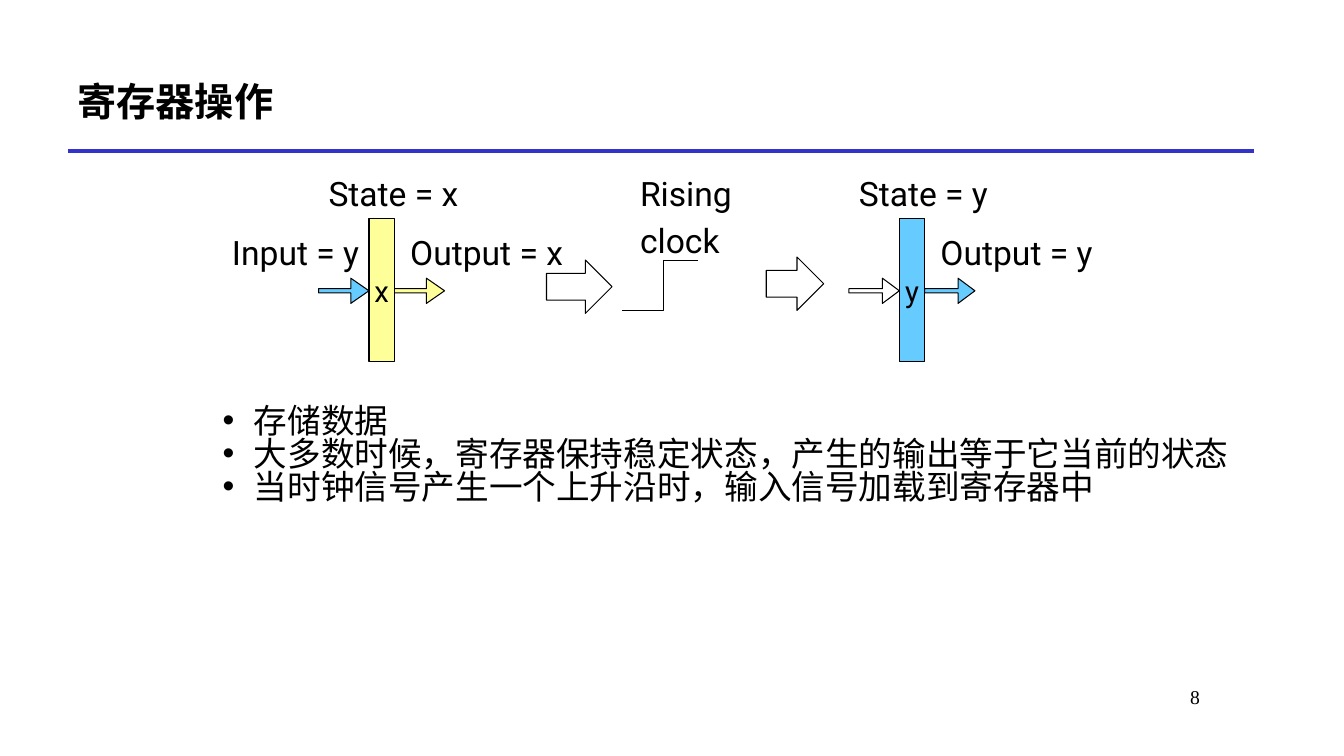
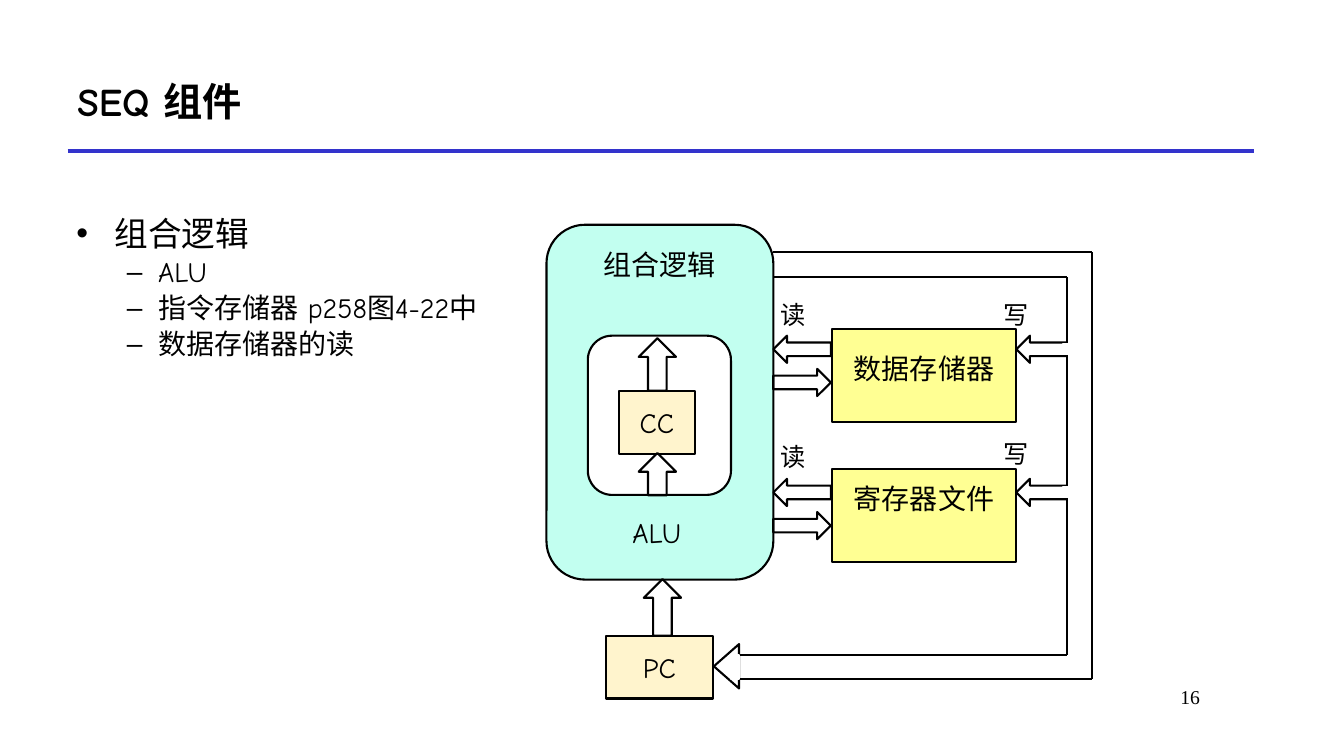
"""Build two slides on register behaviour and the SEQ hardware components."""
from dataclasses import dataclass
from typing import Optional

from lxml import etree
from pptx import Presentation
from pptx.dml.color import RGBColor
from pptx.enum.shapes import MSO_CONNECTOR, MSO_SHAPE
from pptx.enum.text import MSO_ANCHOR, PP_ALIGN
from pptx.oxml.ns import qn
from pptx.util import Inches, Pt

BLACK = RGBColor(0x00, 0x00, 0x00)
WHITE = RGBColor(0xFF, 0xFF, 0xFF)
RULE_BLUE = RGBColor(0x33, 0x33, 0xCC)
SKY = RGBColor(0x66, 0xCC, 0xFF)
LEMON = RGBColor(0xFF, 0xFF, 0x99)
STORE = RGBColor(0xFF, 0xFF, 0x93)
MINT = RGBColor(0xC2, 0xFF, 0xF0)
CREAM = RGBColor(0xFF, 0xF4, 0xCD)

CJK, COMIC, ROBOTO, TIMES = "Noto Sans CJK SC", "Comic Neue", "Roboto", "Times New Roman"
LEFT, CENTER, RIGHT = PP_ALIGN.LEFT, PP_ALIGN.CENTER, PP_ALIGN.RIGHT
TOP, MIDDLE = MSO_ANCHOR.TOP, MSO_ANCHOR.MIDDLE


@dataclass(frozen=True)
class Box:
    """Position and size in inches."""
    left: float
    top: float
    width: float
    height: float

    def lengths(self) -> list:
        return [Inches(v) for v in (self.left, self.top, self.width, self.height)]


@dataclass(frozen=True)
class Style:
    """Character and paragraph format of a text."""
    font: str
    size: float
    align: PP_ALIGN = LEFT
    bold: bool = False
    spacing: float = 1.0


@dataclass(frozen=True)
class Bullet:
    """Bulleted paragraph with its indents in inches."""
    text: str
    mark: str
    style: Style
    margin: float
    hang: float
    before: float = 0
    level: int = 0


@dataclass(frozen=True)
class Arrow:
    """Right-pointing block arrow, turned by an angle."""
    box: Box
    turn: int = 0
    fill: Optional[RGBColor] = None
    weight: float = 1.5
    shaft: float = 0.5
    head: float = 0.5


@dataclass(frozen=True)
class Register:
    """Register symbol with its state and signals."""
    left: float
    value: str
    output: str
    fill: RGBColor
    input_fill: RGBColor
    head: float


TITLE = Style(COMIC, 28, bold=True)
LABEL = Style(ROBOTO, 24)
VALUE = Style(ROBOTO, 21, CENTER)
PART = Style(COMIC, 20, CENTER)
PORT = Style(COMIC, 18)
NUMBER = Style(TIMES, 14, RIGHT)
POINT = Style(CJK, 24, spacing=0.82)


def set_format(target: object, values: dict) -> None:
    for name, value in values.items():
        setattr(target, name, value)


def style_paragraph(paragraph, text: str, style: Style) -> None:
    set_format(paragraph, {"alignment": style.align, "line_spacing": style.spacing})
    run = paragraph.add_run()
    run.text = text
    set_format(run.font, {"name": style.font, "size": Pt(style.size), "bold": style.bold})
    run.font.color.rgb = BLACK
    east_asian = etree.SubElement(run._r.get_or_add_rPr(), qn("a:ea"))
    east_asian.set("typeface", style.font)


def write(shape, lines: list[str], style: Style, anchor: MSO_ANCHOR = TOP,
          wrap: bool = True, inset: float = 0.05) -> None:
    frame = shape.text_frame
    set_format(frame, {"word_wrap": wrap, "vertical_anchor": anchor,
                       "margin_top": Inches(inset)})
    for index, line in enumerate(lines):
        paragraph = frame.add_paragraph() if index else frame.paragraphs[0]
        if index:
            paragraph.space_before = Pt(style.size * 0.2)
        style_paragraph(paragraph, line, style)


def add_text(slide, box: Box, text: str, style: Style,
             anchor: MSO_ANCHOR = TOP, wrap: bool = True) -> None:
    write(slide.shapes.add_textbox(*box.lengths()), text.split("\n"), style, anchor, wrap)


def add_bullets(slide, box: Box, bullets: list[Bullet], wrap: bool) -> None:
    frame = slide.shapes.add_textbox(*box.lengths()).text_frame
    frame.word_wrap = wrap
    for index, bullet in enumerate(bullets):
        paragraph = frame.add_paragraph() if index else frame.paragraphs[0]
        paragraph.level = bullet.level
        if index:
            paragraph.space_before = Pt(bullet.before)
        style_paragraph(paragraph, bullet.text, bullet.style)
        properties = paragraph._p.get_or_add_pPr()
        properties.set("marL", str(Inches(bullet.margin)))
        properties.set("indent", str(-Inches(bullet.hang)))
        etree.SubElement(properties, qn("a:buFont")).set("typeface", "Arial")
        etree.SubElement(properties, qn("a:buChar")).set("char", bullet.mark)


def outline(shape, fill: Optional[RGBColor], weight: float, color: RGBColor = BLACK) -> None:
    shape.shadow.inherit = False
    if fill is None:
        shape.fill.background()
    else:
        shape.fill.solid()
        shape.fill.fore_color.rgb = fill
    shape.line.color.rgb = color
    shape.line.width = Pt(weight)


def add_block(slide, box: Box, fill: RGBColor, weight: float = 1.5,
              color: RGBColor = BLACK, corner: float = 0):
    kind = MSO_SHAPE.ROUNDED_RECTANGLE if corner else MSO_SHAPE.RECTANGLE
    block = slide.shapes.add_shape(kind, *box.lengths())
    if corner:
        block.adjustments[0] = corner
    outline(block, fill, weight, color)
    return block


def add_arrow(slide, arrow: Arrow) -> None:
    shape = slide.shapes.add_shape(MSO_SHAPE.RIGHT_ARROW, *arrow.box.lengths())
    shape.rotation = arrow.turn
    shape.adjustments[0], shape.adjustments[1] = arrow.shaft, arrow.head
    outline(shape, arrow.fill, arrow.weight)


def add_line(slide, start: tuple[float, float], end: tuple[float, float],
             color: RGBColor = BLACK, weight: float = 1.5) -> None:
    line = slide.shapes.add_connector(
        MSO_CONNECTOR.STRAIGHT, *[Inches(v) for v in (*start, *end)])
    line.line.color.rgb = color
    line.line.width = Pt(weight)
    etree.SubElement(line._element.spPr, qn("a:effectLst"))


def add_page(deck, title: str, number: int, style: Style = TITLE):
    slide = deck.slides.add_slide(deck.slide_layouts[6])
    add_line(slide, (0.67, 1.5), (12.44, 1.5), RULE_BLUE, 3)
    add_text(slide, Box(0.67, 0.5, 11.78, 1), title, style, MIDDLE)
    add_text(slide, Box(10.11, 6.75, 1.89, 0.5), str(number), NUMBER)
    return slide


def add_register(slide, register: Register) -> None:
    left = register.left
    add_text(slide, Box(left, 1.67, 1.55, 0.51), f"State = {register.value}", LABEL, wrap=False)
    add_text(slide, Box(left + 0.81, 2.25, 1.77, 0.51), register.output, LABEL, wrap=False)
    for offset, fill in ((0, register.input_fill), (0.75, register.fill)):
        add_arrow(slide, Arrow(Box(left + offset, 2.76, 0.5, 0.25), fill=fill,
                               weight=0.75, shaft=0.17, head=register.head))
    cell = add_block(slide, Box(left + 0.5, 2.17, 0.25, 1.42), register.fill, 0.75)
    write(cell, [register.value], VALUE, MIDDLE, wrap=False)


def build_register_slide(deck) -> None:
    slide = add_page(deck, "寄存器操作", 8, Style(CJK, 28, bold=True))
    edge = slide.shapes.build_freeform(Inches(6.17), Inches(3.08))
    edge.add_line_segments([(Inches(x), Inches(y)) for x, y in
                            ((6.58, 3.08), (6.58, 2.58), (6.92, 2.58))], close=False)
    outline(edge.convert_to_shape(), None, 0.75)
    add_text(slide, Box(6.25, 1.67, 1.5, 0.99), "Rising\nclock", LABEL)
    add_text(slide, Box(2.15, 2.25, 1.51, 0.51), "Input = y",
             Style(ROBOTO, 24, RIGHT), wrap=False)
    for register in (Register(3.16, "x", "Output = x", LEMON, SKY, 0.72),
                     Register(8.42, "y", "Output = y", SKY, WHITE, 0.67)):
        add_register(slide, register)
    for box in (Box(5.42, 2.58, 0.65, 0.53), Box(7.6, 2.55, 0.57, 0.53)):
        add_arrow(slide, Arrow(box, weight=0.75))
    points = ("存储数据", "大多数时候，寄存器保持稳定状态，产生的输出等于它当前的状态",
              "当时钟信号产生一个上升沿时，输入信号加载到寄存器中")
    add_bullets(slide, Box(2.11, 3.99, 10.28, 1.31),
                [Bullet(point, "•", POINT, 0.31, 0.31) for point in points], wrap=False)


def add_store(slide, name: str, top: float, inset: float, read_top: float,
              write_top: float, ports_top: float) -> None:
    store = add_block(slide, Box(8.25, top, 1.83, 0.93), STORE)
    write(store, [name], PART, inset=inset)
    add_arrow(slide, Arrow(Box(7.67, ports_top + 0.33, 0.57, 0.27)))
    add_arrow(slide, Arrow(Box(7.67, ports_top, 0.57, 0.27), 180))
    add_arrow(slide, Arrow(Box(10.08, ports_top, 0.5, 0.27), 180))
    add_block(slide, Box(10.54, ports_top + 0.08, 0.08, 0.1), WHITE, color=WHITE)
    add_text(slide, Box(7.64, read_top, 0.78, 0.4), "读", PORT)
    add_text(slide, Box(9.85, write_top, 0.98, 0.4), "写", PORT)


def build_components_slide(deck) -> None:
    slide = add_page(deck, "SEQ 组件", 16)
    add_block(slide, Box(5.42, 2.23, 2.25, 3.52), MINT, corner=0.17)
    add_block(slide, Box(5.83, 3.33, 1.42, 1.58), WHITE, corner=0.17)
    tight = Style(COMIC, 20, CENTER, spacing=0.9)
    add_text(slide, Box(5.46, 2.44, 2.17, 0.41), "组合逻辑", tight)
    add_text(slide, Box(5.43, 5.1, 2.17, 0.4), "ALU", tight)
    for name, box in (("CC", Box(6.14, 3.88, 0.75, 0.62)),
                      ("PC", Box(6.01, 6.31, 1.06, 0.62))):
        write(add_block(slide, box, CREAM), [name], PART, MIDDLE)

    inner, outer = (10.58, 2.75, 6.5), (10.83, 2.5, 6.74)
    for right, upper, lower in (inner, outer):
        add_line(slide, (7.67, upper), (right, upper))
        add_line(slide, (right, upper), (right, lower))
        add_line(slide, (7.25, lower), (right, lower))
    add_arrow(slide, Arrow(Box(7.08, 6.39, 0.25, 0.44), 180, head=1.16))
    add_block(slide, Box(7.25, 6.5, 0.08, 0.24), WHITE, color=WHITE)
    add_store(slide, "数据存储器", 3.26, 0.23, 2.92, 2.92, 3.33)
    add_store(slide, "寄存器文件", 4.65, 0.13, 4.33, 4.3, 4.75)
    for box in (Box(6.29, 5.84, 0.56, 0.37), Box(6.26, 3.43, 0.52, 0.37),
                Box(6.31, 4.52, 0.42, 0.37)):
        add_arrow(slide, Arrow(box, 270))

    detail = Style(COMIC, 20, spacing=0.9)
    parts = ("ALU", "指令存储器 p258图4-22中", "数据存储器的读")
    add_bullets(slide, Box(0.66, 2.12, 4.41, 4.83), [
        Bullet("组合逻辑", "•", Style(COMIC, 24, spacing=0.85), 0.38, 0.38),
        *[Bullet(part, "–", detail, 0.81, 0.31, 4, 1) for part in parts]], wrap=True)


def main() -> None:
    deck = Presentation()
    set_format(deck, {"slide_width": Inches(13.33), "slide_height": Inches(7.5)})
    build_register_slide(deck)
    build_components_slide(deck)
    deck.save("out.pptx")


if __name__ == "__main__":
    main()
